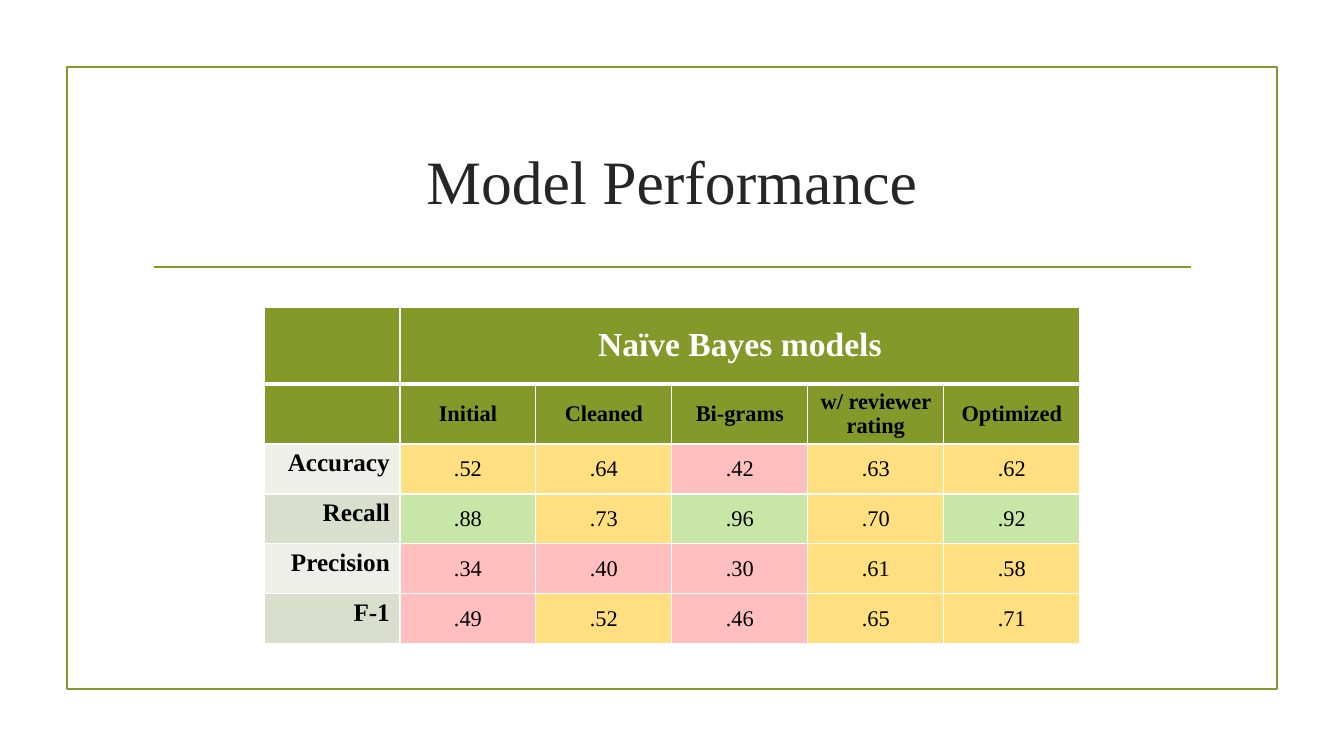
from lxml.etree import SubElement
from pptx import Presentation
from pptx.dml.color import RGBColor
from pptx.enum.shapes import MSO_CONNECTOR, MSO_SHAPE
from pptx.enum.text import MSO_ANCHOR, PP_ALIGN
from pptx.oxml import parse_xml
from pptx.oxml.ns import nsdecls, qn
from pptx.util import Emu, Pt

COLORS = {"olive": "83992A", "ink": "262626", "black": "000000", "white": "FFFFFF",
          "band_light": "EDEFE8", "band_dark": "D9DECD",
          "good": "92D050", "fair": "FFC000", "poor": "FF0000"}
OPACITY = {"good": 50, "fair": 50, "poor": 25}  # percent
MODELS = ["Initial", "Cleaned", "Bi-grams", "w/ reviewer rating", "Optimized"]
SCORES = {
    "Accuracy": [".52", ".64", ".42", ".63", ".62"],
    "Recall": [".88", ".73", ".96", ".70", ".92"],
    "Precision": [".34", ".40", ".30", ".61", ".58"],
    "F-1": [".49", ".52", ".46", ".65", ".71"],
}
ROW_HEIGHTS = [77, 60, 50, 50, 50, 50]
COLUMN_WIDTH = 136


def px(n):
    return Emu(round(n * 12192000 / 1344))


def write(frame, text, color, align, **font_format):
    paragraph = frame.paragraphs[0]
    paragraph.alignment = align
    run = paragraph.add_run()
    run.text = text
    run.font.color.rgb = RGBColor.from_string(COLORS[color])
    for name, value in {"name": "Times New Roman", **font_format}.items():
        setattr(run.font, name, value)


deck = Presentation()
deck.slide_width, deck.slide_height = px(1344), px(756)
slide = deck.slides.add_slide(deck.slide_layouts[5])
olive = RGBColor.from_string(COLORS["olive"])

# Frame and rule under the title
frame = slide.shapes.add_shape(MSO_SHAPE.RECTANGLE, px(67), px(67), px(1210), px(622))
frame.shadow.inherit = False
frame.fill.background()
rule = slide.shapes.add_connector(MSO_CONNECTOR.STRAIGHT, px(154), px(267), px(1191), px(267))
SubElement(rule._element.spPr, qn("a:effectLst"))
for outlined in (frame, rule):
    outlined.line.color.rgb = olive
    outlined.line.width = Pt(1.25)

# Title
title = slide.shapes.title
title.left, title.top, title.width, title.height = px(143), px(108), px(1058), px(144)
title.text_frame.vertical_anchor = MSO_ANCHOR.MIDDLE
write(title.text_frame, "Model Performance", "ink", PP_ALIGN.CENTER, size=Pt(44))

# Table grid
performance = slide.shapes.add_table(
    len(ROW_HEIGHTS), len(MODELS) + 1, px(264), px(307),
    px(COLUMN_WIDTH * (len(MODELS) + 1)), px(sum(ROW_HEIGHTS))).table
for row, height in zip(performance.rows, ROW_HEIGHTS):
    row.height = px(height)
for column in performance.columns:
    column.width = px(COLUMN_WIDTH)
performance.cell(0, 1).merge(performance.cell(0, len(MODELS)))

# Cell contents and fills, scores coloured by level
rows = [["", "Naïve Bayes models"] + [""] * (len(MODELS) - 1), ["", *MODELS]]
rows += [[metric, *values] for metric, values in SCORES.items()]
for r, texts in enumerate(rows):
    for c, text in enumerate(texts):
        cell = performance.cell(r, c)
        cell.vertical_anchor = MSO_ANCHOR.MIDDLE
        color, align, size, bold = "black", PP_ALIGN.CENTER, 16, r < 2
        if r < 2:
            fill = "olive"
            cell.margin_top = cell.margin_bottom = px(4)
            if r == 0:
                color, size = "white", 24
        elif c == 0:
            fill = "band_dark" if r % 2 else "band_light"
            align, size, bold = PP_ALIGN.RIGHT, 18, True
            cell.vertical_anchor = MSO_ANCHOR.TOP
        else:
            score = float(text)
            fill = "good" if score >= 0.8 else "fair" if score >= 0.5 else "poor"
        if text:
            write(cell.text_frame, text, color, align, size=Pt(size), bold=bold)
        cell.fill.solid()
        cell.fill.fore_color.rgb = RGBColor.from_string(COLORS[fill])

        # Transparency and white borders, thicker under the header
        properties = cell._tc.get_or_add_tcPr()
        if fill in OPACITY:
            tint = properties.find(".//" + qn("a:srgbClr"))
            SubElement(tint, qn("a:alpha"), val=str(OPACITY[fill] * 1000))
        for position, side in enumerate("LRTB"):
            width = Pt(3 if (r, side) in ((0, "B"), (1, "T")) else 1)
            properties.insert(position, parse_xml(
                f'<a:ln{side} {nsdecls("a")} w="{width}"><a:solidFill>'
                f'<a:srgbClr val="{COLORS["white"]}"/></a:solidFill></a:ln{side}>'))

deck.save("out.pptx")
